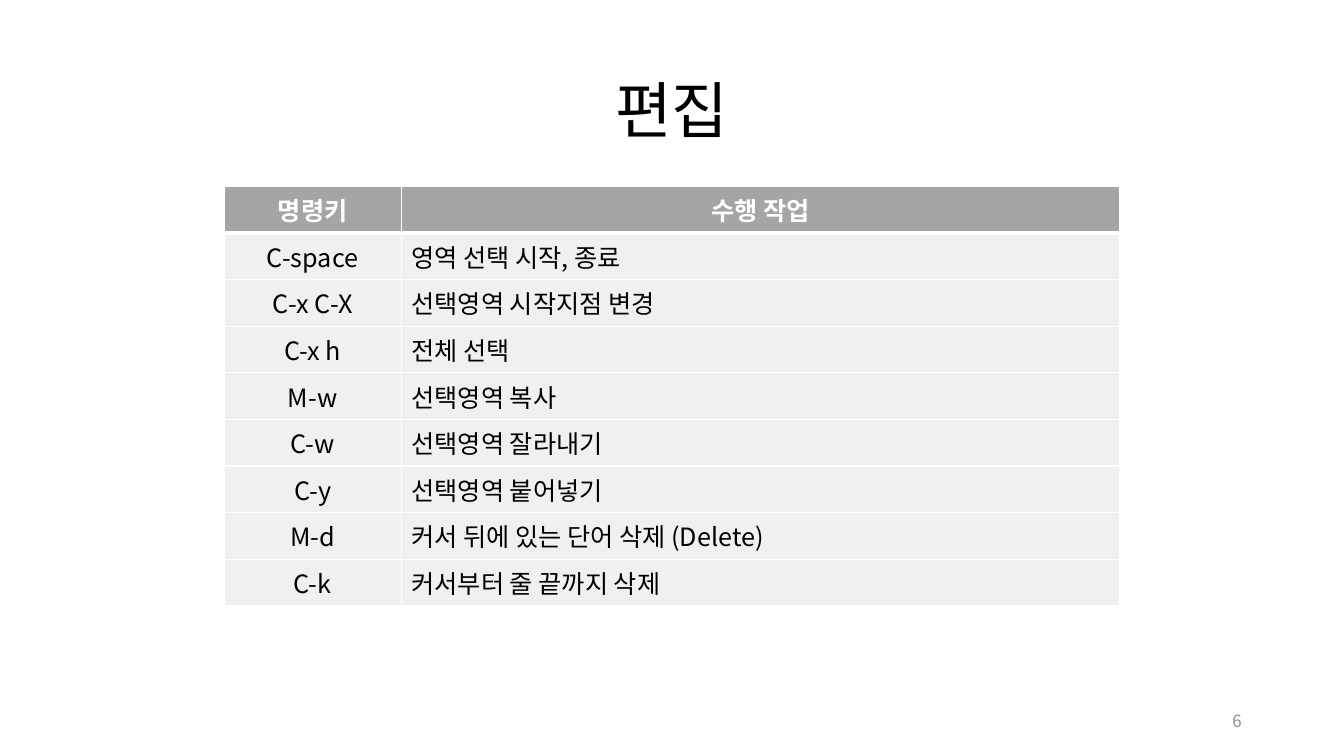
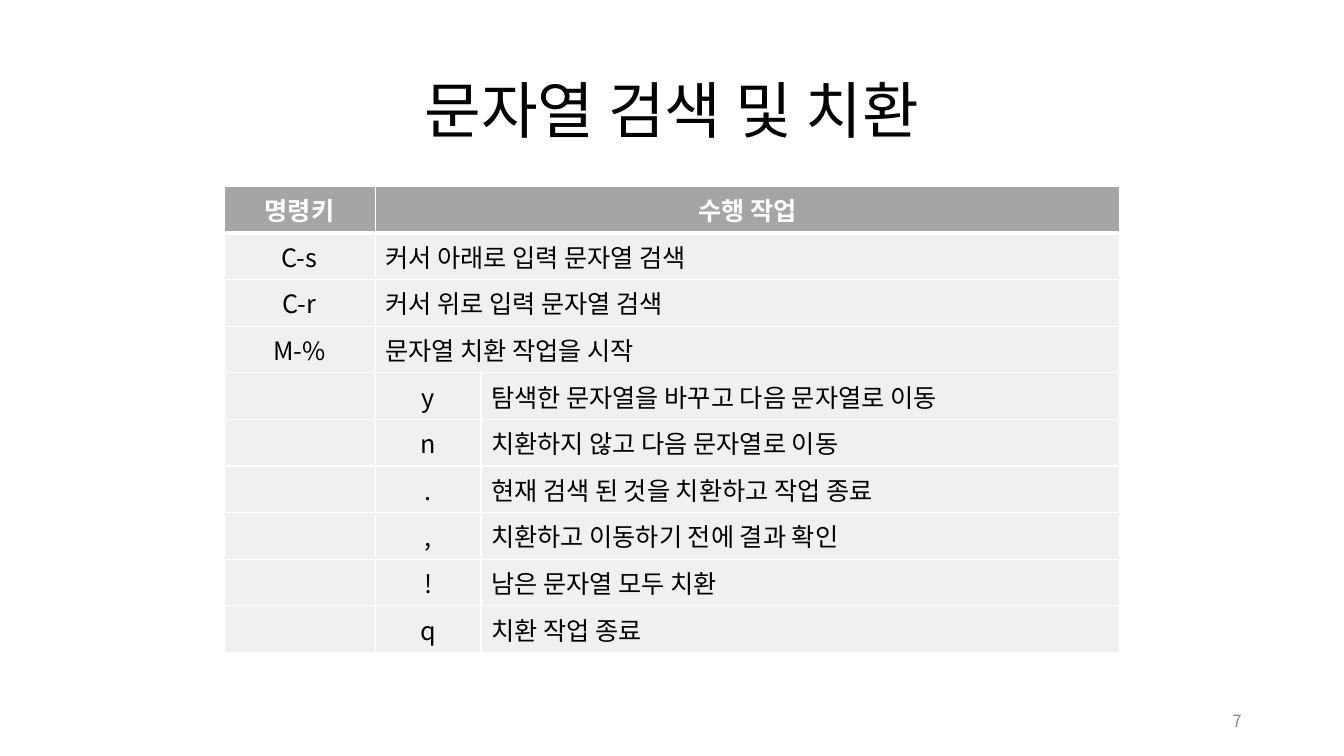
from dataclasses import dataclass

from lxml.etree import SubElement
from pptx import Presentation
from pptx.dml.color import RGBColor
from pptx.enum.text import MSO_ANCHOR, MSO_AUTO_SIZE, PP_ALIGN
from pptx.oxml.ns import qn
from pptx.slide import Slide
from pptx.table import _Cell
from pptx.text.text import _Paragraph
from pptx.util import Emu, Inches, Pt

FONT = "Noto Sans CJK KR"
BLACK = RGBColor(0x00, 0x00, 0x00)
WHITE = RGBColor(0xFF, 0xFF, 0xFF)
HEADER_GREY = RGBColor(0xA5, 0xA5, 0xA5)
BODY_GREY = RGBColor(0xF0, 0xF0, 0xF0)
NUMBER_GREY = RGBColor(0x8C, 0x8C, 0x8C)

# The slide is a grid of square units, 160 columns by 90 rows.
GRID_COLUMNS, GRID_ROWS = 160, 90
UNIT = Inches(1) / 12
TABLE_LEFT, TABLE_WIDTH = GRID_COLUMNS / 6, GRID_COLUMNS * 2 / 3
TABLE_TOP, ROW_HEIGHT = 22.2, 4.92
THIN, THICK = 1, 3


@dataclass(frozen=True)
class Area:
    """A rectangle in grid units."""

    left: float
    top: float
    width: float
    height: float

    def emu(self) -> tuple[Emu, Emu, Emu, Emu]:
        """Return left, top, width and height as lengths."""
        return (grid(self.left), grid(self.top), grid(self.width), grid(self.height))


@dataclass(frozen=True)
class CommandPage:
    """A titled table of command keys; a short row's last cell spans the rest."""

    number: int
    title: str
    key_columns: tuple[float, ...]
    commands: tuple[tuple[str, ...], ...]


TITLE_AREA = Area(11, 4.8, 138, 17.4)
NUMBER_AREA = Area(113, 83.4, 36, 4.8)
HEADINGS = ("명령키", "수행 작업")

PAGES = (
    CommandPage(6, "편집", (21.12,), (
        ("C-space", "영역 선택 시작, 종료"),
        ("C-x C-X", "선택영역 시작지점 변경"),
        ("C-x h", "전체 선택"),
        ("M-w", "선택영역 복사"),
        ("C-w", "선택영역 잘라내기"),
        ("C-y", "선택영역 붙어넣기"),
        ("M-d", "커서 뒤에 있는 단어 삭제 (Delete)"),
        ("C-k", "커서부터 줄 끝까지 삭제"),
    )),
    CommandPage(7, "문자열 검색 및 치환", (18, 12.6), (
        ("C-s", "커서 아래로 입력 문자열 검색"),
        ("C-r", "커서 위로 입력 문자열 검색"),
        ("M-%", "문자열 치환 작업을 시작"),
        ("", "y", "탐색한 문자열을 바꾸고 다음 문자열로 이동"),
        ("", "n", "치환하지 않고 다음 문자열로 이동"),
        ("", ".", "현재 검색 된 것을 치환하고 작업 종료"),
        ("", ",", "치환하고 이동하기 전에 결과 확인"),
        ("", "!", "남은 문자열 모두 치환"),
        ("", "q", "치환 작업 종료"),
    )),
)


def grid(units: float) -> Emu:
    """Convert grid units to a length."""
    return Emu(round(units * UNIT))


def write(paragraph: _Paragraph, text: str, size: float, color: RGBColor,
          align: PP_ALIGN, bold: bool = False) -> None:
    """Add one formatted run to a paragraph."""
    paragraph.alignment = align
    run = paragraph.add_run()
    run.text = text
    run.font.size = Pt(size)
    run.font.bold = bold
    run.font.color.rgb = color
    run.font.name = FONT
    SubElement(run.font._element, qn("a:ea"), typeface=FONT)


def style_cell(cell: _Cell, fill: RGBColor, top: float, bottom: float) -> None:
    """Give a cell white borders and a plain fill."""
    properties = cell._tc.get_or_add_tcPr()
    for side, width in (("L", THIN), ("R", THIN), ("T", top), ("B", bottom)):
        line = SubElement(properties, qn(f"a:ln{side}"), w=str(Pt(width)))
        paint = SubElement(line, qn("a:solidFill"))
        SubElement(paint, qn("a:srgbClr"), val=str(WHITE))
    cell.fill.solid()
    cell.fill.fore_color.rgb = fill


def add_title(slide: Slide, title: str) -> None:
    """Place and fill the title placeholder."""
    heading = slide.shapes.title
    heading.left, heading.top, heading.width, heading.height = TITLE_AREA.emu()
    frame = heading.text_frame
    frame.auto_size = MSO_AUTO_SIZE.NONE
    frame.vertical_anchor = MSO_ANCHOR.MIDDLE
    frame.paragraphs[0].line_spacing = 0.9
    write(frame.paragraphs[0], title, 44, BLACK, PP_ALIGN.CENTER)


def add_page_number(slide: Slide, number: int) -> None:
    """Write the page number at the bottom right."""
    frame = slide.shapes.add_textbox(*NUMBER_AREA.emu()).text_frame
    frame.word_wrap = True
    frame.vertical_anchor = MSO_ANCHOR.MIDDLE
    write(frame.paragraphs[0], str(number), 12, NUMBER_GREY, PP_ALIGN.RIGHT)


def add_command_table(slide: Slide, page: CommandPage) -> None:
    """Draw the headings and commands of a page as a table."""
    entries = (HEADINGS, *page.commands)
    widths = (*page.key_columns, TABLE_WIDTH - sum(page.key_columns))
    last = len(widths) - 1
    area = Area(TABLE_LEFT, TABLE_TOP, TABLE_WIDTH, ROW_HEIGHT * len(entries))
    table = slide.shapes.add_table(len(entries), len(widths), *area.emu()).table
    table.horz_banding = False
    for column, width in zip(table.columns, widths):
        column.width = grid(width)

    for index, entry in enumerate(entries):
        is_header = index == 0
        table.rows[index].height = grid(ROW_HEIGHT)
        for position in range(len(widths)):
            style_cell(table.cell(index, position),
                       HEADER_GREY if is_header else BODY_GREY,
                       THICK if index == 1 else THIN,
                       THICK if is_header else THIN)
        final = len(entry) - 1
        if final < last:
            table.cell(index, final).merge(table.cell(index, last))
        for position, text in enumerate(entry):
            if text:
                is_action = position == final and not is_header
                write(table.cell(index, position).text_frame.paragraphs[0], text, 18,
                      WHITE if is_header else BLACK,
                      PP_ALIGN.LEFT if is_action else PP_ALIGN.CENTER, is_header)


def main() -> None:
    """Build and save the presentation."""
    deck = Presentation()
    deck.slide_width, deck.slide_height = grid(GRID_COLUMNS), grid(GRID_ROWS)
    title_only = deck.slide_layouts[5]
    for page in PAGES:
        slide = deck.slides.add_slide(title_only)
        add_title(slide, page.title)
        add_command_table(slide, page)
        add_page_number(slide, page.number)
    deck.save("out.pptx")


main()
